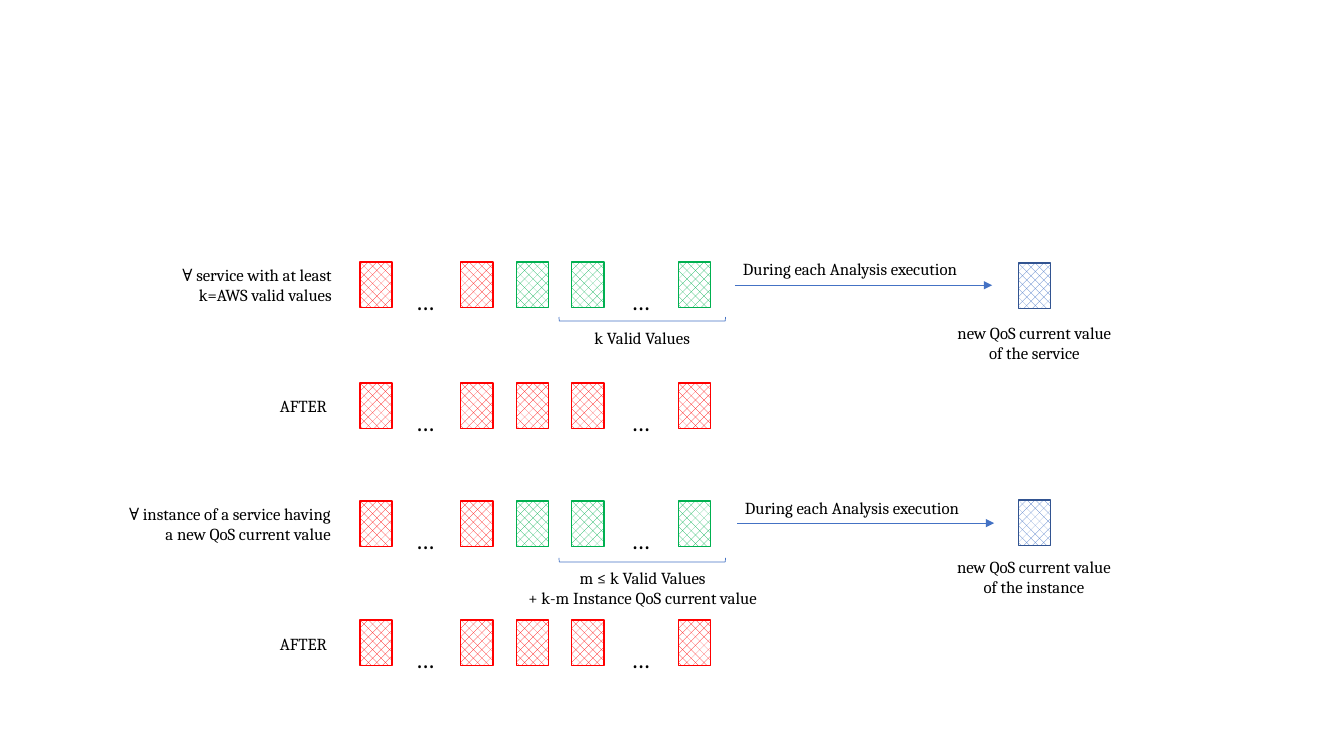
from typing import NamedTuple

from lxml import etree
from pptx import Presentation
from pptx import util as u
from pptx.dml.color import RGBColor
from pptx.enum import dml, shapes, text
from pptx.oxml.ns import qn

PX = 9144  # EMU per px, 100 px to the inch

RED = RGBColor(0xFF, 0x00, 0x00)
GREEN = RGBColor(0x00, 0xB0, 0x50)
BLUE = RGBColor(0x44, 0x72, 0xC4)
NAVY = RGBColor(0x32, 0x54, 0x91)
BLACK = RGBColor(0x00, 0x00, 0x00)
WHITE = RGBColor(0xFF, 0xFF, 0xFF)

FONT = "Cambria"
HATCH = dml.MSO_PATTERN.from_xml("pct40")
LEFT, CENTER, RIGHT = text.PP_ALIGN.LEFT, text.PP_ALIGN.CENTER, text.PP_ALIGN.RIGHT
CELL_WIDTH, CELL_HEIGHT = 32, 45
CELL_LEFTS = (357, 457, 512, 567, 673)
DOTS_LEFTS = (402, 616)


class Label(NamedTuple):
    left: int
    top: int
    width: int
    height: int
    lines: tuple[str, ...]
    align: text.PP_ALIGN = CENTER
    wrap: bool = False
    size: int = 12


class Window(NamedTuple):
    """A row of values, red where invalid and green where valid."""
    top: int
    valid: int


class Step(NamedTuple):
    """The bracket, arrow and new value that belong to one analysis."""
    bracket_top: int
    arrow_left: int
    arrow_top: int
    value_top: int


WINDOWS = (Window(260, 3), Window(380, 0), Window(497, 3), Window(615, 0))
STEPS = (Step(234, 729, 283, 261), Step(473, 731, 519, 496))
LABELS = (
    Label(155, 258, 184, 50, ("∀ service with at least", "k=AWS valid values"), RIGHT),
    Label(99, 495, 239, 50,
          ("∀ instance of a service having", "a new QoS current value"), RIGHT),
    Label(261, 388, 80, 30, ("AFTER",)),
    Label(261, 624, 80, 30, ("AFTER",)),
    Label(567, 320, 140, 30, ("k Valid Values",), wrap=True),
    Label(481, 558, 313, 50,
          ("m ≤ k Valid Values", "+ k-m Instance QoS current value"), wrap=True),
    Label(727, 252, 253, 30, ("During each Analysis execution",), LEFT),
    Label(729, 489, 253, 30, ("During each Analysis execution",), LEFT),
    Label(936, 315, 180, 50, ("new QoS current value of the service",), wrap=True),
    Label(932, 547, 187, 50, ("new QoS current value of the instance",), wrap=True),
)


def px(*lengths: int) -> list[u.Emu]:
    return [u.Emu(length * PX) for length in lengths]


def add_label(page, label: Label) -> None:
    box = page.shapes.add_textbox(*px(label.left, label.top, label.width, label.height))
    frame = box.text_frame
    frame.word_wrap = label.wrap
    frame.auto_size = text.MSO_AUTO_SIZE.SHAPE_TO_FIT_TEXT
    frame.text = "\n".join(label.lines)
    for para in frame.paragraphs:
        para.alignment = label.align
        para.font.name = FONT
        para.font.size = u.Pt(label.size)
        para.font.color.rgb = BLACK


def add_cell(page, left: int, top: int, color: RGBColor, border: RGBColor) -> None:
    cell = page.shapes.add_shape(shapes.MSO_SHAPE.RECTANGLE,
                                 *px(left, top, CELL_WIDTH, CELL_HEIGHT))
    cell.shadow.inherit = False
    cell.fill.patterned()
    cell.fill.pattern = HATCH
    cell.fill.fore_color.rgb = color
    cell.fill.back_color.rgb = WHITE
    cell.line.color.rgb = border
    cell.line.width = u.Pt(1)


def add_window(page, window: Window) -> None:
    first_valid = len(CELL_LEFTS) - window.valid
    for index, left in enumerate(CELL_LEFTS):
        color = GREEN if index >= first_valid else RED
        add_cell(page, left, window.top, color, color)
    for left in DOTS_LEFTS:
        add_label(page, Label(left, window.top + 18, 41, 40, ("…",), LEFT, size=18))


def add_step(page, step: Step) -> None:
    # Bracket under the valid values
    bracket = page.shapes.add_shape(shapes.MSO_SHAPE.LEFT_BRACKET,
                                    *px(635, step.bracket_top, 4, 165))
    bracket.rotation = 270
    bracket.shadow.inherit = False
    bracket.fill.background()

    # Arrow to the new value
    arrow = page.shapes.add_connector(
        shapes.MSO_CONNECTOR.STRAIGHT,
        *px(step.arrow_left, step.arrow_top, step.arrow_left + 255, step.arrow_top))
    for outline in (bracket.line, arrow.line):
        outline.color.rgb = BLUE
        outline.width = u.Pt(0.5)
    properties = arrow.element.spPr
    etree.SubElement(properties.find(qn("a:ln")), qn("a:tailEnd"), type="triangle")
    etree.SubElement(properties, qn("a:effectLst"))

    add_cell(page, 1010, step.value_top, BLUE, NAVY)


def main() -> None:
    deck = Presentation()
    deck.slide_width, deck.slide_height = px(1333, 750)
    page = deck.slides.add_slide(deck.slide_layouts[6])
    for window in WINDOWS:
        add_window(page, window)
    for step in STEPS:
        add_step(page, step)
    for label in LABELS:
        add_label(page, label)
    deck.save("out.pptx")


if __name__ == "__main__":
    main()
